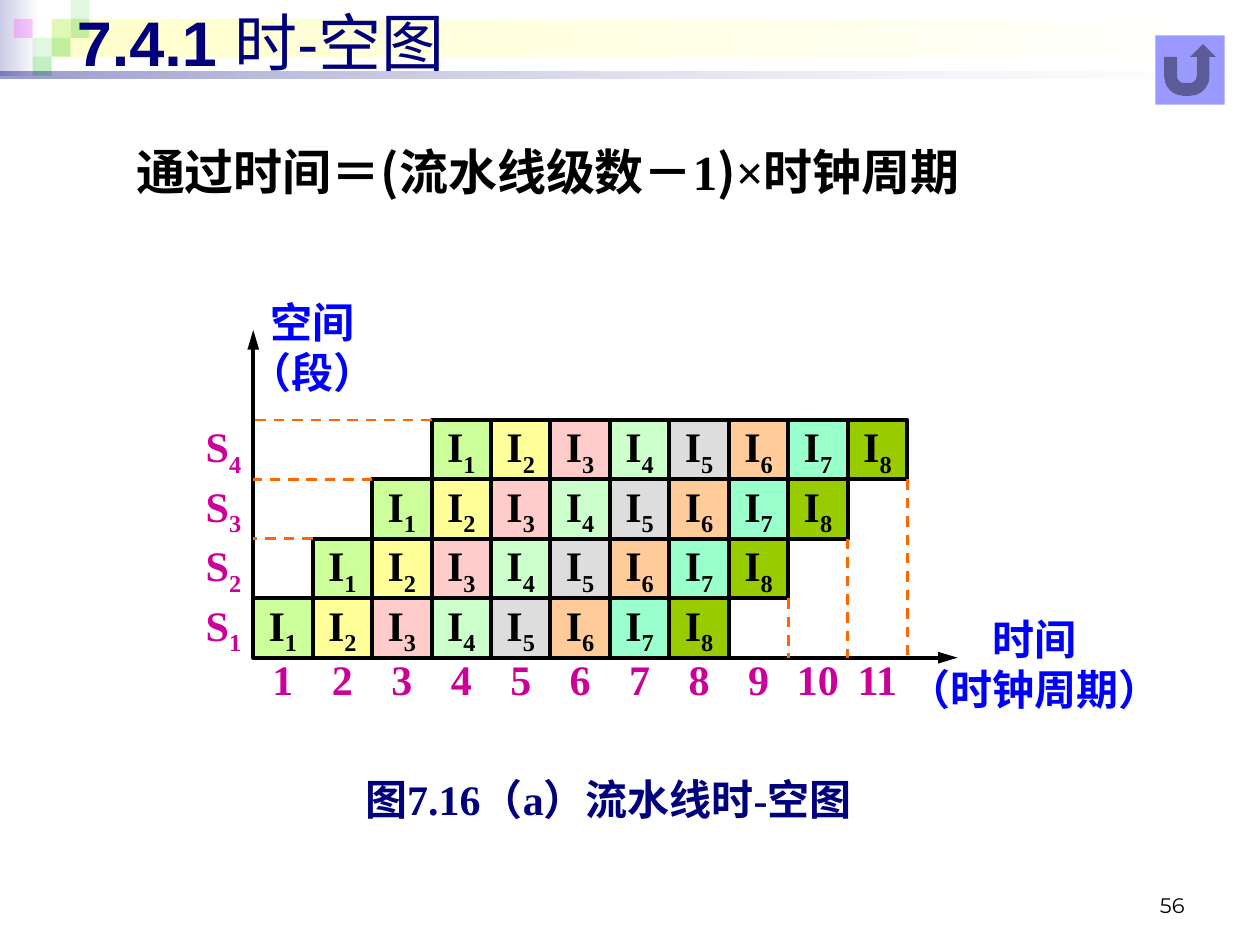
from lxml import etree
from pptx import Presentation
from pptx.dml.color import RGBColor
from pptx.enum.dml import MSO_LINE
from pptx.enum.shapes import MSO_CONNECTOR, MSO_SHAPE
from pptx.enum.text import MSO_ANCHOR, PP_ALIGN
from pptx.oxml.ns import qn
from pptx.util import Inches, Pt

RECTANGLE = MSO_SHAPE.RECTANGLE
RETURN_BUTTON = MSO_SHAPE.ACTION_BUTTON_RETURN
STRAIGHT = MSO_CONNECTOR.STRAIGHT
DASH = MSO_LINE.DASH
LEFT, CENTER, RIGHT = PP_ALIGN.LEFT, PP_ALIGN.CENTER, PP_ALIGN.RIGHT
TOP, MIDDLE, BOTTOM = MSO_ANCHOR.TOP, MSO_ANCHOR.MIDDLE, MSO_ANCHOR.BOTTOM

THEME = {
    "serif": "Times New Roman", "sans": "Arial", "cjk": "Noto Sans CJK SC", "number": "Montserrat",
    "title_size": 36, "body_size": 28, "label_size": 24, "number_size": 12,
    "navy": "00007D", "black": "000000", "magenta": "CC0099", "blue": "0000FF",
    "guide": "FF6600", "button": "9999FF",
}

TITLE = [("7.4.1 ", True), ("时-空图", False)]
FORMULA = [("通过时间＝", "serif"), ("(", "cjk"), ("流水线级数－1", "serif"),
           (")", "cjk"), ("×时钟周期", "serif")]
INSTRUCTION_COLORS = ["CCFF99", "FFFF99", "FFCCCC", "CCFFCC", "DDDDDD", "FFCC99", "99FFCC", "99CC00"]
STAGES = 4
CYCLES = len(INSTRUCTION_COLORS) + STAGES - 1
CAPTIONS = [  # lines, box, colour, alignment
    (["时间", "（时钟周期）"], (7.09, 4.82, 2.24, 0.9), "blue", CENTER),
    (["空间", "（段）"], (1.85, 2.3, 1.26, 0.9), "blue", CENTER),
    (["图7.16（a）流水线时-空图"], (2.8, 6.09, 4.08, 0.5), "navy", LEFT),
]
PAGE_NUMBER = "56"

# Corner ornament: box and (colour, opacity %) stops; one stop means a solid fill
BANDS = [
    ((0, 0, 0.31, 0.6), [("CCCCE6", 100), ("FFFFFF", 100)]),
    ((0.41, 0.15, 9.55, 0.3), [("FFFFCC", 100), ("FFFFFF", 100)]),
]
TILES = [  # column, row, colour, opacity %
    (2, 1, "33CC33", 15), (3, 0, "33CC33", 15), (3, 1, "33CC33", 30), (1, 2, "33CC33", 15),
    (0, 1, "FF00FF", 20), (2, 2, "33CC33", 30), (1, 3, "33CC33", 30),
]
TILE = 0.15
TILE_LEFT = 0.11
RULE = ((0, 0.57, 10, 0.05), [("00007D", 40), ("FFFFFF", 10)])

ORIGIN_X, ORIGIN_Y = 2.01, 5.22
CELL = (7.2 - ORIGIN_X) / CYCLES
AXIS_RIGHT, AXIS_TOP = 7.6, 2.62


def color(code):
    return RGBColor.from_string(code)


def inches(values):
    return [Inches(value) for value in values]


def style(font, size, code, face="serif", bold=True):
    font.size = Pt(size)
    font.bold = bold
    font.name = THEME[face]
    font.color.rgb = color(code)


def add_block(page, box, code, preset=RECTANGLE):
    block = page.shapes.add_shape(preset, *inches(box))
    block.shadow.inherit = False
    block.fill.solid()
    block.fill.fore_color.rgb = color(code)
    block.line.fill.background()
    return block


def add_ornament(page, box, stops):
    block = add_block(page, box, stops[0][0])
    if len(stops) > 1:
        block.fill.gradient()
        block.fill.gradient_angle = 0
        for stop, (code, _) in zip(block.fill.gradient_stops, stops):
            stop.color.rgb = color(code)
    fill_colors = block._element.spPr.iter(qn("a:srgbClr"))
    for element, (_, opacity) in zip(list(fill_colors), stops):
        if opacity < 100:
            etree.SubElement(element, qn("a:alpha"), val=str(opacity * 1000))


def add_line(page, start, end, code, width, dashed=False, arrow=False):
    line = page.shapes.add_connector(STRAIGHT, *inches(start + end))
    line.line.color.rgb = color(code)
    line.line.width = Pt(width)
    if dashed:
        line.line.dash_style = DASH
    if arrow:
        etree.SubElement(line.line._get_or_add_ln(), qn("a:tailEnd"), type="triangle", len="lg")
    etree.SubElement(line._element.spPr, qn("a:effectLst"))


def write_label(shape, text, code, subscript="", anchor=MIDDLE):
    """Write one centred, unwrapped label, with an optional subscript."""
    frame = shape.text_frame
    frame.word_wrap = False
    frame.margin_left = frame.margin_right = 0
    frame.vertical_anchor = anchor
    para = frame.paragraphs[0]
    para.alignment = CENTER
    style(para.font, THEME["label_size"], code)
    para.add_run().text = text
    if subscript:
        span = para.add_run()
        span.text = subscript
        span._r.get_or_add_rPr().set("baseline", "-25000")


def add_text(page, lines, box, size, code, alignment, anchor=MIDDLE, face="serif", bold=True):
    frame = page.shapes.add_textbox(*inches(box)).text_frame
    frame.word_wrap = True
    frame.vertical_anchor = anchor
    for index, line in enumerate(lines):
        para = frame.add_paragraph() if index else frame.paragraphs[0]
        para.alignment = alignment
        style(para.font, size, code, face, bold)
        para.add_run().text = line


def place(holder, box, anchor):
    """Move a placeholder in front of the ornament and return its first paragraph."""
    holder.left, holder.top, holder.width, holder.height = inches(box)
    holder._element.getparent().append(holder._element)
    holder.text_frame.vertical_anchor = anchor
    para = holder.text_frame.paragraphs[0]
    para.alignment = LEFT
    para.space_before = Pt(0)
    return para


def add_headings(page):
    para = place(page.shapes.title, (0.51, -0.03, 9.37, 0.71), MIDDLE)
    for text, bold in TITLE:
        span = para.add_run()
        span.text = text
        style(span.font, THEME["title_size"], THEME["navy"], "sans", bold)

    para = place(page.placeholders[1], (0.98, 1.07, 7.89, 0.63), TOP)
    properties = para._p.get_or_add_pPr()
    properties.set("marL", str(Inches(0.38)))
    properties.set("indent", str(Inches(-0.38)))
    etree.SubElement(properties, qn("a:buNone"))
    for text, face in FORMULA:
        span = para.add_run()
        span.text = text
        style(span.font, THEME["body_size"], THEME["black"], face)


def add_diagram(page):
    def cell_box(column, row):
        return (ORIGIN_X + column * CELL, ORIGIN_Y - (row + 1) * CELL, CELL, CELL)

    for stage in range(STAGES):
        for index, code in enumerate(INSTRUCTION_COLORS):
            block = add_block(page, cell_box(stage + index, stage), code)
            block.line.color.rgb = color(THEME["black"])
            block.line.width = Pt(2.25)
            write_label(block, "I", THEME["black"], str(index + 1))
        label = page.shapes.add_textbox(*inches(cell_box(-1, stage)))
        write_label(label, "S", THEME["magenta"], str(stage + 1))

    origin = (ORIGIN_X, ORIGIN_Y)
    for end in ((AXIS_RIGHT, ORIGIN_Y), (ORIGIN_X, AXIS_TOP)):
        add_line(page, origin, end, THEME["black"], 2.25, arrow=True)

    for cycle in range(CYCLES):
        left, _, width, height = cell_box(cycle, 0)
        label = page.shapes.add_textbox(*inches((left, ORIGIN_Y - 0.08, width, height)))
        write_label(label, str(cycle + 1), THEME["magenta"], anchor=TOP)

    for stage in range(1, STAGES):
        right = ORIGIN_X + (len(INSTRUCTION_COLORS) + stage) * CELL
        start_x, row_top = ORIGIN_X + stage * CELL, ORIGIN_Y - (stage + 1) * CELL
        add_line(page, (right, row_top + CELL), (right, ORIGIN_Y), THEME["guide"], 1.5, dashed=True)
        add_line(page, (start_x, row_top), (ORIGIN_X, row_top), THEME["guide"], 1.5, dashed=True)


def main():
    deck = Presentation()
    deck.slide_width, deck.slide_height = Inches(10), Inches(7.5)
    page = deck.slides.add_slide(deck.slide_layouts[1])

    tiles = [((TILE_LEFT + column * TILE, row * TILE, TILE, TILE), [(code, opacity)])
             for column, row, code, opacity in TILES]
    for box, stops in BANDS + tiles + [RULE]:
        add_ornament(page, box, stops)
    add_text(page, [PAGE_NUMBER], (7.17, 6.83, 2.33, 0.5), THEME["number_size"],
             THEME["black"], RIGHT, BOTTOM, "number", False)
    add_headings(page)
    add_diagram(page)
    for lines, box, tone, alignment in CAPTIONS:
        add_text(page, lines, box, THEME["label_size"], THEME[tone], alignment)
    add_block(page, (9.17, 0.28, 0.55, 0.55), THEME["button"], RETURN_BUTTON)
    deck.save("out.pptx")


if __name__ == "__main__":
    main()
